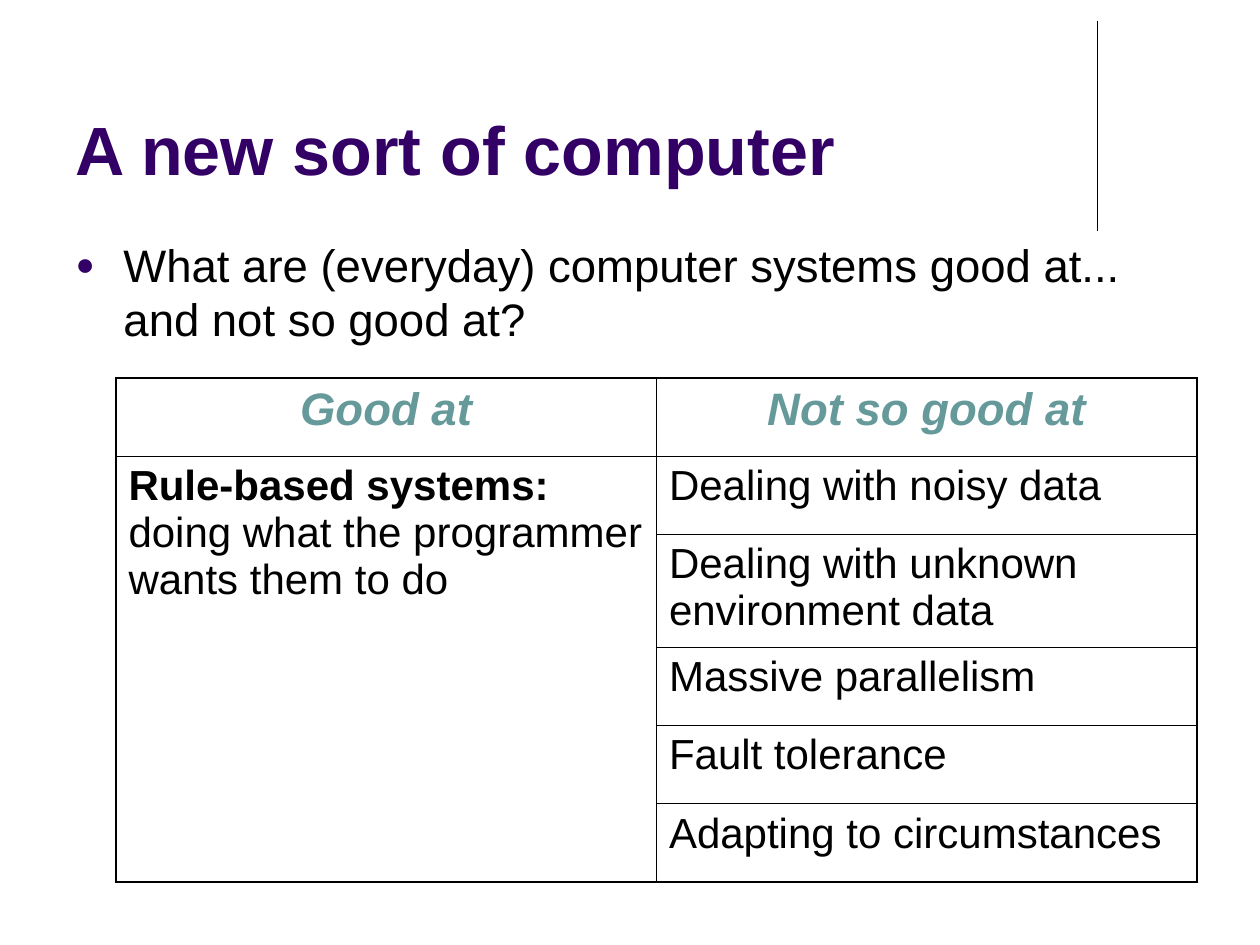
from pptx import Presentation
from pptx.dml.color import RGBColor
from pptx.enum.shapes import MSO_CONNECTOR as Conn
from pptx.enum.text import MSO_ANCHOR as Anchor, MSO_AUTO_SIZE as Fit, PP_ALIGN as Align
from pptx.oxml.ns import qn
from pptx.util import Inches, Pt
from lxml.etree import SubElement as Sub

INK, PLUM, TEAL = "000000", "330066", "669999"


def color(code):
    """Turn a hex string into a colour."""
    return RGBColor.from_string(code)


class Deck:
    """Hold the style and the current slide."""

    def __init__(self, wide, high, face):
        """Start a deck with one title and body slide."""
        self.face = face
        self.prs = Presentation()
        self.prs.slide_width, self.prs.slide_height = Inches(wide), Inches(high)
        self.slide = self.prs.slides.add_slide(self.prs.slide_layouts[1])

    def style(self, para, size, code, bold=False, italic=False, align=Align.LEFT):
        """Set the font and alignment of a paragraph."""
        font = para.font
        font.name, font.size, font.bold, font.italic = self.face, Pt(size), bold, italic
        font.color.rgb = color(code)
        para.alignment = align

    def place(self, index, box, text, anchor):
        """Fill and move a placeholder, and return its paragraph."""
        shape = self.slide.placeholders[index]
        shape.left, shape.top, shape.width, shape.height = map(Inches, box)
        frame = shape.text_frame
        frame.text = text
        frame.auto_size, frame.word_wrap = Fit.NONE, True
        frame.vertical_anchor = anchor
        para = frame.paragraphs[0]
        para.space_before = Pt(0)
        return para

    def title(self, text, box):
        """Write the slide title."""
        self.style(self.place(0, box, text, Anchor.BOTTOM), 39, PLUM, bold=True)

    def bullet(self, text, box):
        """Write the body as one bullet."""
        para = self.place(1, box, text, Anchor.TOP)
        props = para._p.get_or_add_pPr()
        props.set("marL", str(Inches(0.38)))
        props.set("indent", str(-Inches(0.38)))
        Sub(Sub(props, qn("a:buClr")), qn("a:srgbClr"), val=PLUM)
        Sub(props, qn("a:buSzPct"), val="70000")
        Sub(props, qn("a:buFont"), typeface=self.face)
        Sub(props, qn("a:buChar"), char="●")
        self.style(para, 26, INK)

    def line(self, start, end):
        """Draw a thin straight line."""
        link = self.slide.shapes.add_connector(
            Conn.STRAIGHT, *map(Inches, (*start, *end)))
        link.line.color.rgb = color(INK)
        link.line.width = Pt(0.75)
        Sub(link._element.spPr, qn("a:effectLst"))

    def border(self, cell, outer):
        """Draw cell borders, heavier on the outer sides."""
        props = cell._tc.get_or_add_tcPr()
        for side in "LRTB":
            width = Pt(1.08 if side in outer else 0.45)
            edge = Sub(props, qn(f"a:ln{side}"), w=str(width))
            Sub(Sub(edge, qn("a:solidFill")), qn("a:srgbClr"), val=INK)
        cell.fill.background()

    def table(self, heads, lead, items, spot, wide, highs):
        """Build a two-column table with a merged left cell."""
        rows = len(items) + 1
        grid = self.slide.shapes.add_table(
            rows, 2, *map(Inches, (*spot, wide, sum(highs)))).table
        grid.first_row = grid.horz_banding = False
        for row, high in zip(grid.rows, highs):
            row.height = Inches(high)
        for r in range(rows):
            for c in range(2):
                outer = "LR"[c] + "T" * (r == 0) + "B" * (r == rows - 1)
                if (r, c) == (1, 0):
                    outer += "B"
                self.border(grid.cell(r, c), outer)
        grid.cell(1, 0).merge(grid.cell(rows - 1, 0))
        for c, head in enumerate(heads):
            cell = grid.cell(0, c)
            cell.text = head
            self.style(cell.text_frame.paragraphs[0], 26, TEAL, True, True, Align.CENTER)
        para = grid.cell(1, 0).text_frame.paragraphs[0]
        self.style(para, 24, INK)
        for text, bold in lead:
            run = para.add_run()
            run.text, run.font.bold = text, bold
        for r, item in enumerate(items, 1):
            cell = grid.cell(r, 1)
            cell.text = item
            self.style(cell.text_frame.paragraphs[0], 24, INK)


def main():
    """Build and save the slide."""
    deck = Deck(10, 7.5, "Arial")
    deck.line((8.71, 0.17), (8.71, 1.83))
    deck.title("A new sort of computer", (0.5, 0.13, 8.25, 1.42))
    deck.bullet("What are (everyday) computer systems good at... and not so good at?",
                (0.5, 1.83, 8.92, 1.08))
    deck.table(
        ("Good at", "Not so good at"),
        (("Rule-based systems:", True),
         (" doing what the programmer wants them to do", False)),
        ("Dealing with noisy data", "Dealing with unknown environment data",
         "Massive parallelism", "Fault tolerance", "Adapting to circumstances"),
        (0.92, 3), 8.58, (0.62, 0.62, 0.9, 0.62, 0.62, 0.62))
    deck.prs.save("out.pptx")


if __name__ == "__main__":
    main()
